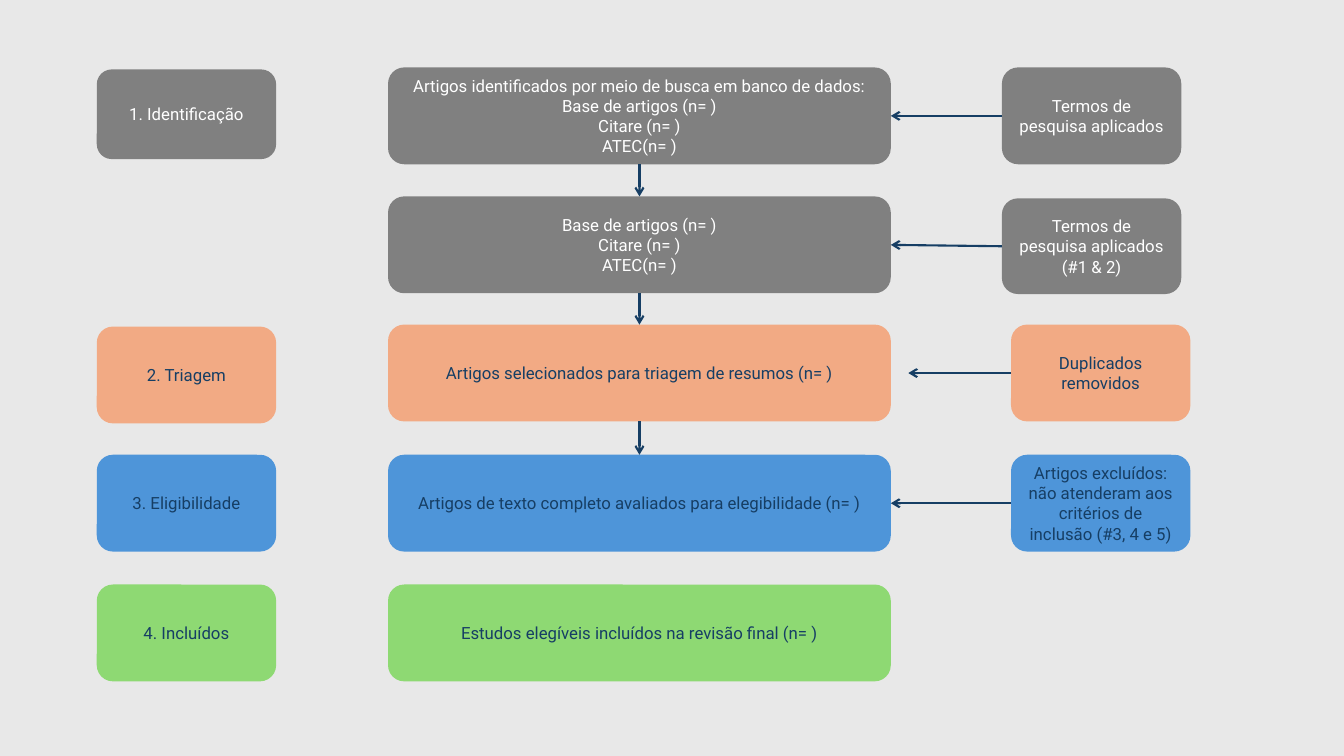
from dataclasses import dataclass
from typing import Optional

from lxml import etree
from pptx import Presentation, util as u
from pptx.dml.color import RGBColor
from pptx.enum import shapes, text
from pptx.oxml.ns import qn

COLORS = {
    "background": "E8E8E8",
    "identification": "808080",
    "screening": "F2AA84",
    "eligibility": "4E95D9",
    "included": "8ED973",
    "navy": "163E64",
    "white": "FFFFFF",
}
FONT = "Roboto"
TOP, LEFT, BOTTOM, RIGHT = range(4)  # connection sites

# Column positions and box sizes in centimetres
STAGE_LEFT, STEP_LEFT = 2.44, 9.78
SIDE_WIDTH, STEP_WIDTH, BOX_HEIGHT = 4.52, 12.67, 2.44


@dataclass
class Box:
    left: float
    top: float
    lines: list[str]
    width: float = SIDE_WIDTH
    height: float = BOX_HEIGHT


@dataclass
class Row:
    color: str
    step: Box
    stage: Optional[Box] = None
    filter: Optional[Box] = None
    arrow_gap: float = 0  # space left between the side arrow and the step
    leads_on: bool = True
    ink: str = "navy"


def step(top: float, *lines: str) -> Box:
    return Box(STEP_LEFT, top, list(lines), STEP_WIDTH)


DATABASES = ["Base de artigos (n= )", "Citare (n= )", "ATEC(n= )"]

ROWS = [
    Row("identification",
        step(1.70, "Artigos identificados por meio de busca em banco de dados:",
             *DATABASES),
        Box(STAGE_LEFT, 1.75, ["1. Identificação"], height=2.26),
        Box(25.25, 1.70, ["Termos de pesquisa aplicados"]),
        ink="white"),
    Row("identification",
        step(4.95, *DATABASES),
        filter=Box(25.25, 5.00, ["Termos de pesquisa aplicados", "(#1 & 2)"],
                   height=2.41),
        ink="white"),
    Row("screening",
        step(8.18, "Artigos selecionados para triagem de resumos (n= )"),
        Box(STAGE_LEFT, 8.23, ["2. Triagem"]),
        Box(25.48, 8.18, ["Duplicados removidos"]),
        arrow_gap=0.44),
    Row("eligibility",
        step(11.46, "Artigos de texto completo avaliados para elegibilidade (n= )"),
        Box(STAGE_LEFT, 11.46, ["3. Eligibilidade"]),
        Box(25.48, 11.46, ["Artigos excluídos: não atenderam aos critérios de "
                           "inclusão (#3, 4 e 5)"]),
        leads_on=False),
    Row("included",
        step(14.73, "Estudos elegíveis incluídos na revisão final (n= )"),
        Box(STAGE_LEFT, 14.73, ["4. Incluídos"]),
        leads_on=False),
]


def rgb(name: str) -> RGBColor:
    return RGBColor.from_string(COLORS[name])


def draw_box(slide, box: Box, color: str, ink: str):
    card = slide.shapes.add_shape(
        shapes.MSO_SHAPE.ROUNDED_RECTANGLE,
        u.Cm(box.left), u.Cm(box.top), u.Cm(box.width), u.Cm(box.height))
    card.shadow.inherit = False
    card.fill.solid()
    card.fill.fore_color.rgb = rgb(color)
    card.line.fill.background()
    frame = card.text_frame
    frame.word_wrap = True
    frame.vertical_anchor = text.MSO_ANCHOR.MIDDLE
    frame.text = "\n".join(box.lines)
    for paragraph in frame.paragraphs:
        paragraph.alignment = text.PP_ALIGN.CENTER
        paragraph.font.name = FONT
        paragraph.font.size = u.Pt(12)
        paragraph.font.color.rgb = rgb(ink)
    return card


def draw_arrow(slide, source, source_site: int, target, target_site: int,
               gap: float = 0) -> None:
    # With a gap, the arrow runs level and stops short of the target's right side
    middle = source.top + source.height // 2
    arrow = slide.shapes.add_connector(
        shapes.MSO_CONNECTOR.STRAIGHT, source.left, middle,
        target.left + target.width + u.Cm(gap), middle)
    arrow.begin_connect(source, source_site)
    if not gap:
        arrow.end_connect(target, target_site)
    arrow.line.color.rgb = rgb("navy")
    arrow.line.width = u.Pt(1.5)
    etree.SubElement(arrow.line._get_or_add_ln(), qn("a:tailEnd"), type="arrow")
    etree.SubElement(arrow._element.spPr, qn("a:effectLst"))


def main() -> None:
    deck = Presentation()
    deck.slide_width, deck.slide_height = u.Cm(33.87), u.Cm(19.05)
    slide = deck.slides.add_slide(deck.slide_layouts[6])
    slide.background.fill.solid()
    slide.background.fill.fore_color.rgb = rgb("background")

    # Rows of the flow: stage label, main step, filter with its arrow
    steps = []
    for row in ROWS:
        if row.stage:
            draw_box(slide, row.stage, row.color, row.ink)
        main_step = draw_box(slide, row.step, row.color, row.ink)
        steps.append(main_step)
        if row.filter:
            side_filter = draw_box(slide, row.filter, row.color, row.ink)
            draw_arrow(slide, side_filter, LEFT, main_step, RIGHT, row.arrow_gap)

    # Arrows down from step to step
    for row, upper, lower in zip(ROWS, steps, steps[1:]):
        if row.leads_on:
            draw_arrow(slide, upper, BOTTOM, lower, TOP)

    deck.save("out.pptx")


if __name__ == "__main__":
    main()
